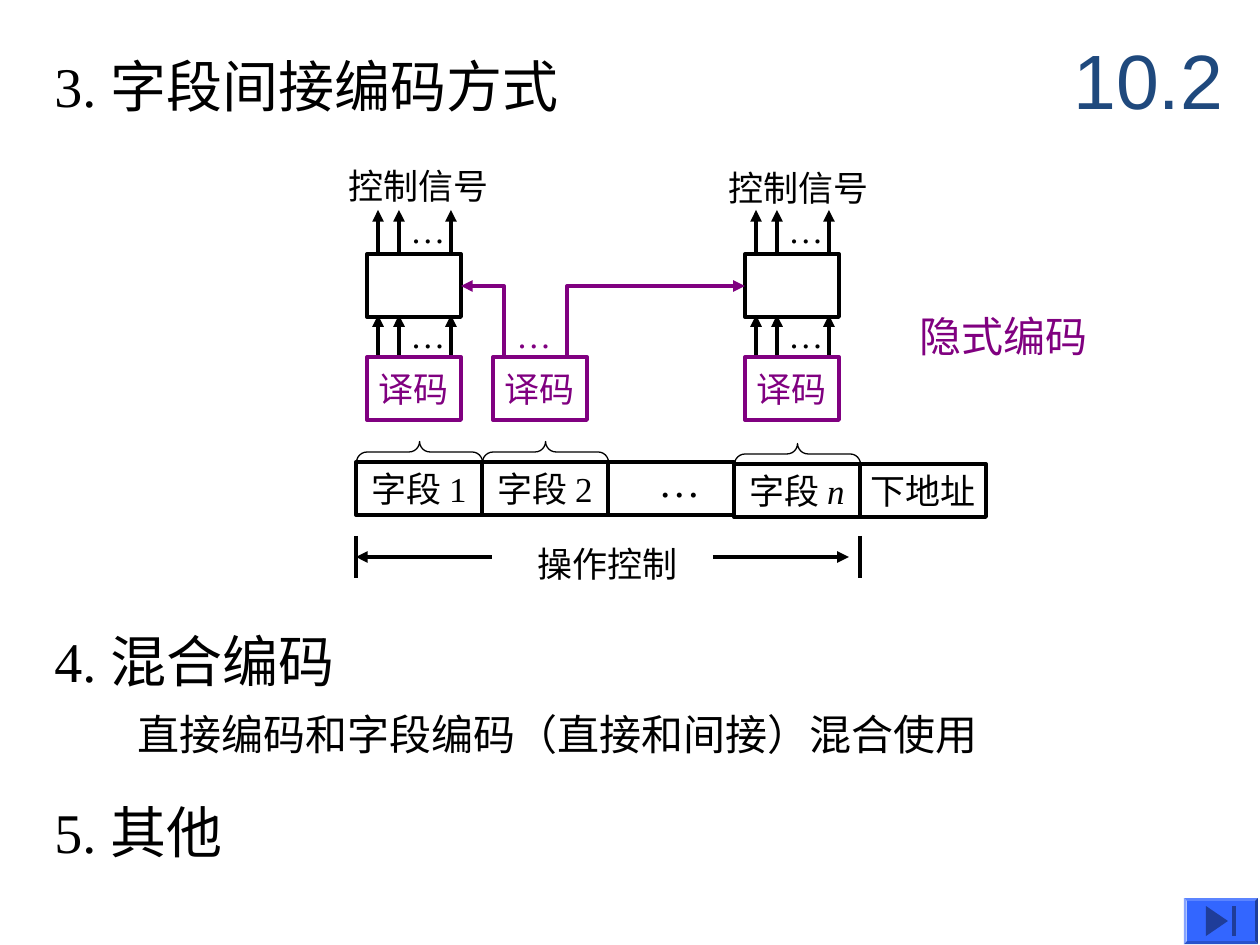
from lxml import etree
from pptx import Presentation
from pptx.dml.color import RGBColor
from pptx.enum.shapes import MSO_CONNECTOR, MSO_SHAPE
from pptx.enum.text import MSO_ANCHOR, MSO_AUTO_SIZE, PP_ALIGN
from pptx.oxml.ns import qn
from pptx.util import Pt

RECT, BRACE, BEVEL = MSO_SHAPE.RECTANGLE, MSO_SHAPE.LEFT_BRACE, MSO_SHAPE.BEVEL
STRAIGHT = MSO_CONNECTOR.STRAIGHT
MIDDLE, CENTER = MSO_ANCHOR.MIDDLE, PP_ALIGN.CENTER
FIT = MSO_AUTO_SIZE.SHAPE_TO_FIT_TEXT
PX = 914400 / 126
SERIF, SANS, NUMBER_FONT = "Times New Roman", "DejaVu Sans", "Arial"
COLORS = {"black": "000000", "purple": "800080", "navy": "1F497D",
          "button": "3366FF", "icon": "1F3D99"}


def write(shape, pieces, size, color="black", font=SERIF, wrap=False):
    """Fill a shape with one paragraph, one run for each piece."""
    frame = shape.text_frame
    frame.word_wrap = wrap
    paragraph = frame.paragraphs[0]
    for piece in pieces:
        paragraph.add_run().text = piece
    paragraph.font.size = Pt(size)
    paragraph.font.name = font
    paragraph.font.color.rgb = RGBColor.from_string(COLORS[color])
    return paragraph


def outline(shape, color="black", width=2.25, arrow=False):
    """Give a line or an unfilled shape its stroke, with no shadow."""
    shape.line.color.rgb = RGBColor.from_string(COLORS[color])
    shape.line.width = Pt(width)
    if arrow:
        etree.SubElement(shape.line._get_or_add_ln(), qn("a:tailEnd"), type="triangle")
    etree.SubElement(shape._element.spPr, qn("a:effectLst"))


prs = Presentation()
prs.slide_width, prs.slide_height = round(1260 * PX), round(945 * PX)
shapes = prs.slides.add_slide(prs.slide_layouts[6]).shapes

# Numbered headings
for top, width, number, title in [(45, 1081, "3. ", "字段间接编码方式"),
                                  (620, 922, "4. ", "混合编码"),
                                  (791, 764, "5. ", "其他")]:
    heading = shapes.add_textbox(*(round(v * PX) for v in (42, top, width, 81)))
    heading.text_frame.auto_size = FIT
    paragraph = write(heading, [number, title], 32, wrap=True)
    paragraph.runs[-1].font.name = SANS

# Diagram geometry
COLUMNS = [367, 493, 745]
OUTER = [COLUMNS[0], COLUMNS[2]]
BOX_W, BOX_H, CONTROL_Y, DECODER_Y = 94, 63, 254, 357
FIELD_X, FIELD_W, FIELD_H = 356, 126, 53

# Straight lines: arrows into and out of the control boxes, then the span marks
lines = [(x + dx, bottom, x + dx, bottom - 42, True)
         for x in OUTER for bottom in (357, 252) for dx in (11, 32, 84)]
lines += [(x, 536, x, 578, False) for x in (356, 860)]
lines += [(492, 557, 356, 557, True), (713, 557, 849, 557, True)]
for x1, y1, x2, y2, arrow in lines:
    line = shapes.add_connector(STRAIGHT, *(round(v * PX) for v in (x1, y1, x2, y2)))
    outline(line, arrow=arrow)

# Control and decoder boxes
boxes = [(x, CONTROL_Y, BOX_W, BOX_H, [], "black") for x in OUTER]
boxes += [(x, DECODER_Y, BOX_W, BOX_H, ["译码"], "purple") for x in COLUMNS]

# Instruction fields
fields = [["字段 1"], ["字段 2"], [], ["字段 ", "n"], ["下地址"]]
for i, pieces in enumerate(fields):
    field_y = 462 if i < 3 else 464
    boxes.append((FIELD_X + i * FIELD_W, field_y, FIELD_W, FIELD_H, pieces, "black"))

for x, y, w, h, pieces, color in boxes:
    box = shapes.add_shape(RECT, *(round(v * PX) for v in (x, y, w, h)))
    box.fill.background()
    outline(box, color)
    if pieces:
        paragraph = write(box, pieces, 20, color)
        paragraph.alignment = CENTER
        box.text_frame.vertical_anchor = MIDDLE
        if pieces[-1] == "n":
            paragraph.runs[-1].font.italic = True

# Braces above the decoded fields
for i, top in [(0, 389), (1, 389), (3, 391)]:
    left = FIELD_X + i * FIELD_W + 53
    brace = shapes.add_shape(BRACE, *(round(v * PX) for v in (left, top, 21, FIELD_W)))
    brace.rotation = 90
    brace.adjustments[0] = 0.5
    brace.fill.background()
    outline(brace, width=0.75)

# Elbow arrows from the middle decoder
for start_x, end_x in [(504, 461), (567, 745)]:
    builder = shapes.build_freeform(start_x, 357, scale=PX)
    builder.add_line_segments([(start_x, 286), (end_x, 286)], close=False)
    elbow = builder.convert_to_shape()
    elbow.fill.background()
    outline(elbow, "purple", arrow=True)

# Diagram labels
labels = [(x + 31, y, 60, 55, "…", 20, "black") for x in OUTER for y in (202, 307)]
labels += [(504, 307, 60, 55, "…", 20, "purple"),
           (646, 449, 67, 63, "…", 24, "black"),
           (336, 158, 170, 55, "控制信号", 20, "black"),
           (716, 160, 170, 55, "控制信号", 20, "black"),
           (525, 536, 170, 55, "操作控制", 20, "black")]
for x, y, w, h, text, size, color in labels:
    label = shapes.add_textbox(*(round(v * PX) for v in (x, y, w, h)))
    label.text_frame.auto_size = FIT
    write(label, [text], size, color)

# Side note, explanation and section number
for x, y, w, h, text, size, color, font in [
        (907, 304, 297, 63, "隐式编码", 24, "purple", SERIF),
        (125, 702, 1052, 63, "直接编码和字段编码（直接和间接）混合使用", 24, "black", SANS),
        (1061, 21, 199, 116, "10.2", 44, "navy", NUMBER_FONT)]:
    note = shapes.add_textbox(*(round(v * PX) for v in (x, y, w, h)))
    note.text_frame.vertical_anchor = MIDDLE
    write(note, [text], size, color, font, wrap=True)

# Button to the last slide: bevelled face, triangle and bar
face = shapes.add_shape(BEVEL, *(round(v * PX) for v in (1184, 898, 74, 46)))
face.adjustments[0] = 0.06
builder = shapes.build_freeform(1206, 906, scale=PX)
builder.add_line_segments([(1228, 921), (1206, 936)])
triangle = builder.convert_to_shape()
bar = shapes.add_shape(RECT, *(round(v * PX) for v in (1232, 906, 4, 30)))
for part, color in [(face, "button"), (triangle, "icon"), (bar, "icon")]:
    part.shadow.inherit = False
    part.fill.solid()
    part.fill.fore_color.rgb = RGBColor.from_string(COLORS[color])
    part.line.fill.background()

prs.save("out.pptx")
